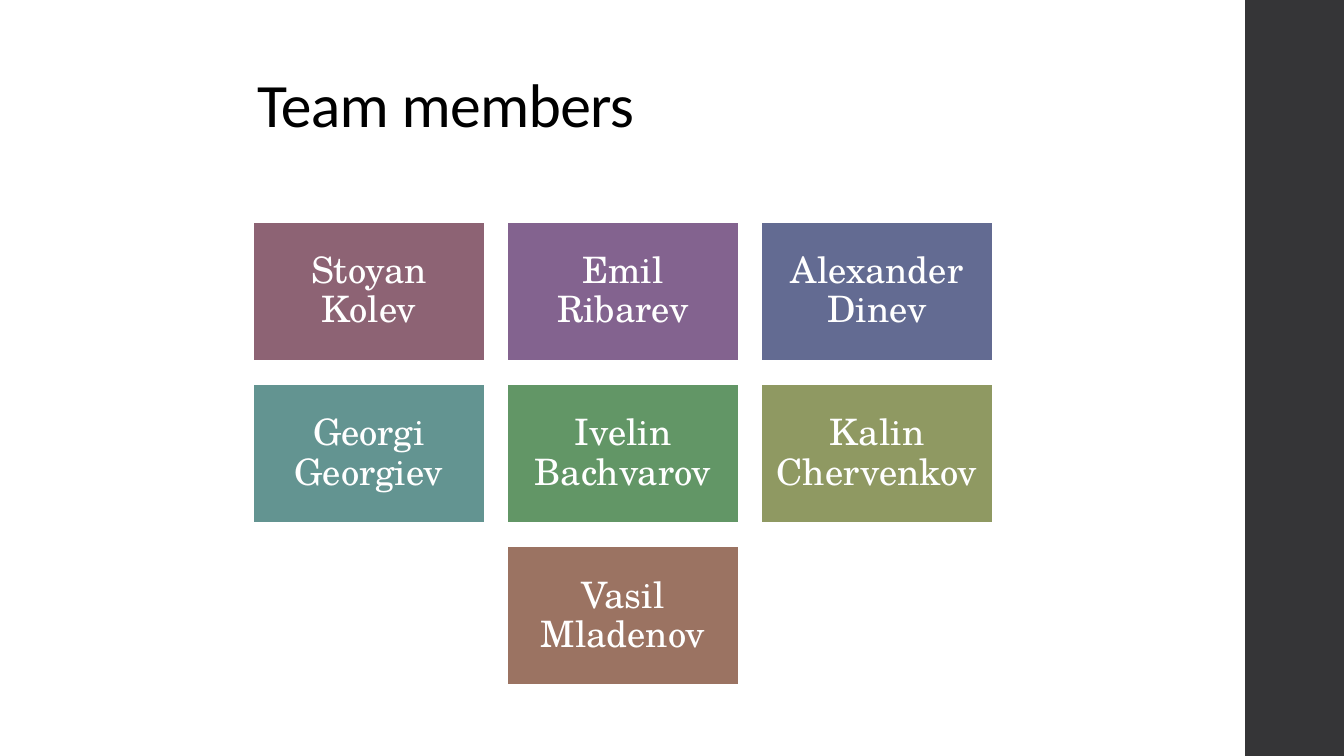
import pptx
import pptx.util
import pptx.dml.color
import pptx.enum.shapes
import pptx.enum.text
from dataclasses import dataclass

# Content: name and card colour, in reading order
TITLE = "Team members"
MEMBERS = [
    ("Stoyan Kolev", "8D6374"),
    ("Emil Ribarev", "83638F"),
    ("Alexander Dinev", "636B92"),
    ("Georgi Georgiev", "639491"),
    ("Ivelin Bachvarov", "629666"),
    ("Kalin Chervenkov", "8F9962"),
    ("Vasil Mladenov", "9B7362"),
]


@dataclass(frozen=True)
class Theme:
    title_font: str = "Calibri"
    card_font: str = "TeX Gyre Schola"
    title_size: int = 44
    card_size: int = 26
    dark: str = "000000"
    light: str = "FFFFFF"
    side_bar: str = "353537"


THEME = Theme()
Inches = pptx.util.Inches
Pt = pptx.util.Pt

# Card grid, in inches
COLUMNS = 3
GRID_LEFT, GRID_TOP = 2.51, 2.2
CARD_WIDTH, CARD_HEIGHT = 2.3, 1.38
COLUMN_GAP, ROW_GAP = 0.22, 0.23
CARD_INSET = 0.11


def rgb(value):
    return pptx.dml.color.RGBColor.from_string(value)


def add_rectangle(slide, left, top, width, height, color):
    shape = slide.shapes.add_shape(
        pptx.enum.shapes.MSO_SHAPE.RECTANGLE,
        Inches(left), Inches(top), Inches(width), Inches(height))
    shape.shadow.inherit = False
    shape.fill.solid()
    shape.fill.fore_color.rgb = rgb(color)
    shape.line.fill.background()
    return shape


def write_text(paragraph, text, font_name, size, color):
    paragraph.line_spacing = 0.9
    run = paragraph.add_run()
    run.text = text
    run.font.name = font_name
    run.font.size = Pt(size)
    run.font.color.rgb = rgb(color)
    return run


def add_title(slide):
    title = slide.shapes.title
    title.left, title.top = Inches(2.45), Inches(0)
    title.width, title.height = Inches(10.6), Inches(1.45)
    frame = title.text_frame
    frame.word_wrap = True
    frame.vertical_anchor = pptx.enum.text.MSO_ANCHOR.BOTTOM
    paragraph = frame.paragraphs[0]
    paragraph.alignment = pptx.enum.text.PP_ALIGN.LEFT
    run = write_text(paragraph, TITLE, THEME.title_font, THEME.title_size, THEME.dark)
    run.font._element.set("spc", "-50")  # letter spacing in hundredths of a point


def add_card(slide, left, top, name, color):
    card = add_rectangle(slide, left, top, CARD_WIDTH, CARD_HEIGHT, color)
    card.line.color.rgb = rgb(THEME.light)
    card.line.width = Pt(1.35)
    frame = card.text_frame
    frame.word_wrap = True
    frame.vertical_anchor = pptx.enum.text.MSO_ANCHOR.MIDDLE
    frame.margin_left = frame.margin_right = Inches(CARD_INSET)
    frame.margin_top = frame.margin_bottom = Inches(CARD_INSET)
    paragraph = frame.paragraphs[0]
    paragraph.alignment = pptx.enum.text.PP_ALIGN.CENTER
    write_text(paragraph, name, THEME.card_font, THEME.card_size, THEME.light)


def add_member_grid(slide):
    column_step = CARD_WIDTH + COLUMN_GAP
    row_step = CARD_HEIGHT + ROW_GAP
    for start in range(0, len(MEMBERS), COLUMNS):
        row = MEMBERS[start:start + COLUMNS]
        # A short row is centred under the full ones
        row_left = GRID_LEFT + (COLUMNS - len(row)) * column_step / 2
        top = GRID_TOP + start // COLUMNS * row_step
        for column, (name, color) in enumerate(row):
            add_card(slide, row_left + column * column_step, top, name, color)


def main():
    presentation = pptx.Presentation()
    presentation.slide_width = Inches(13.33)
    presentation.slide_height = Inches(7.5)
    slide = presentation.slides.add_slide(presentation.slide_layouts[5])
    slide.background.fill.solid()
    slide.background.fill.fore_color.rgb = rgb(THEME.light)

    # Side bar, title, cards
    add_rectangle(slide, 12.35, 0, 0.98, 7.5, THEME.side_bar)
    add_title(slide)
    add_member_grid(slide)
    presentation.save("out.pptx")


if __name__ == "__main__":
    main()
